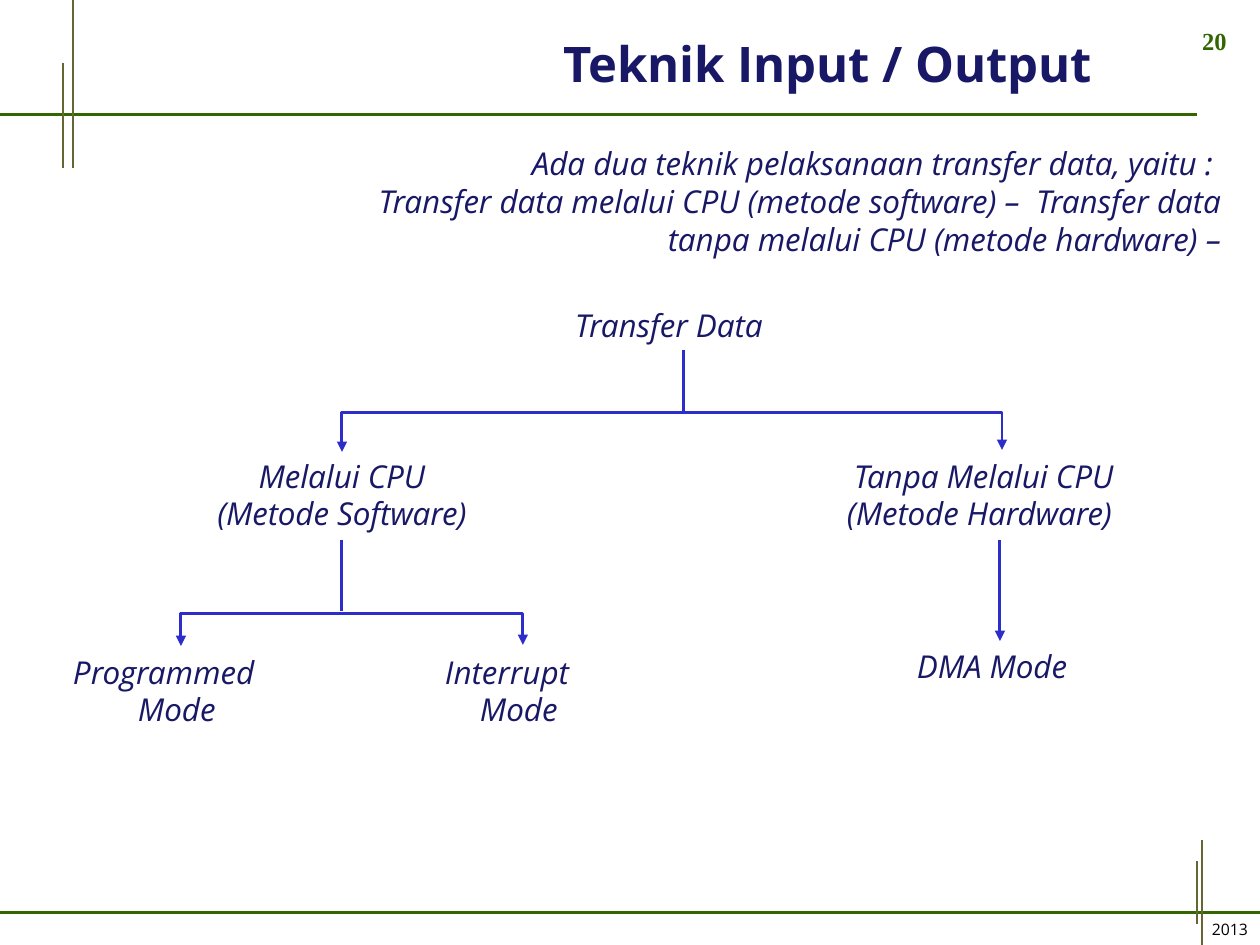
import pptx
import pptx.util
import pptx.dml.color
import pptx.enum.shapes
import pptx.enum.text
import pptx.oxml.ns
import lxml.etree

ALIGN = pptx.enum.text.PP_ALIGN
NAVY, BLUE, GREEN, OLIVE = "181866", "2D2DCA", "336600", "666633"
ITALIC = {"name": "Open Sans", "size": pptx.util.Pt(18), "italic": True}
BOLD = {"name": "Open Sans", "size": pptx.util.Pt(28), "bold": True}
NUMBER = {"name": "Times New Roman", "size": pptx.util.Pt(14), "bold": True}
SMALL = {"name": "Open Sans", "size": pptx.util.Pt(9)}


def px(length):
    """Turn picture pixels into EMU."""
    return round(length * 914400 / 126)


def color(value):
    """Turn a hex string into a colour."""
    return pptx.dml.color.RGBColor.from_string(value)


def add_xml(parent, tag, **attributes):
    """Append a DrawingML element to a parent."""
    return lxml.etree.SubElement(parent, pptx.oxml.ns.qn(tag), attributes)


def assign(target, values):
    """Set attributes from a dict of format values."""
    for name, value in values.items():
        setattr(target, name, value)


class SlideBuilder:
    """Holds the current slide and draws its elements."""

    def __init__(self, slide):
        self.slide = slide

    def stroke(self, shape, ink, width, arrows=()):
        """Set the line of a shape and its arrowheads."""
        shape.line.color.rgb = color(ink)
        shape.line.width = pptx.util.Pt(width)
        for end in arrows:
            add_xml(shape.get_or_add_ln(), end, type="triangle")

    def line(self, x1, y1, x2, y2, ink=BLUE, width=1.7, arrows=()):
        """Draw a straight line."""
        connector = self.slide.shapes.add_connector(
            pptx.enum.shapes.MSO_CONNECTOR.STRAIGHT, px(x1), px(y1), px(x2), px(y2))
        self.stroke(connector, ink, width, arrows)
        add_xml(connector._element.spPr, "a:effectLst")

    def branch(self, x, top, bottom, bar, left_tip, right_tip):
        """Draw a trunk and a crossbar that ends in two downward arrows."""
        corners = [(left_tip[0], bar), (right_tip[0], bar), right_tip]
        builder = self.slide.shapes.build_freeform(*map(px, left_tip))
        builder.add_line_segments([(px(a), px(b)) for a, b in corners], close=False)
        fork = builder.convert_to_shape()
        fork.shadow.inherit = False
        fork.fill.background()
        self.stroke(fork, BLUE, 1.7, ("a:headEnd", "a:tailEnd"))
        self.line(x, top, x, bottom)

    def fill_text(self, shape, box, lines, style=ITALIC, ink=NAVY, spacing=-5,
                  **paragraph_format):
        """Place a shape and write (text, indent, space before, format) lines."""
        assign(shape, dict(zip(("left", "top", "width", "height"), map(px, box))))
        frame = shape.text_frame
        assign(frame, {"word_wrap": True, "margin_left": 0, "margin_right": 0,
                       "margin_top": px(1), "margin_bottom": 0,
                       "auto_size": pptx.enum.text.MSO_AUTO_SIZE.NONE,
                       "vertical_anchor": pptx.enum.text.MSO_ANCHOR.TOP})
        for index, (text, indent, before, extra) in enumerate(lines):
            paragraph = frame.add_paragraph() if index else frame.paragraphs[0]
            assign(paragraph, {"alignment": ALIGN.LEFT,
                               "space_before": pptx.util.Pt(before),
                               **paragraph_format, **extra})
            properties = paragraph._p.get_or_add_pPr()
            properties.set("marL", str(px(indent)))
            properties.set("indent", "0")
            add_xml(properties, "a:buNone")
            run = paragraph.add_run()
            run.text = text
            assign(run.font, style)
            run.font.color.rgb = color(ink)
            run._r.get_or_add_rPr().set("spc", str(spacing))

    def text(self, box, lines, **options):
        """Add a text box."""
        shape = self.slide.shapes.add_textbox(0, 0, 0, 0)
        self.fill_text(shape, box, lines, **options)


def main():
    """Build and save the slide."""
    presentation = pptx.Presentation()
    presentation.slide_width = px(1260)
    presentation.slide_height = px(945)
    slide = presentation.slides.add_slide(presentation.slide_layouts[1])
    builder = SlideBuilder(slide)

    for y, right in ((115, 1197), (913, 1260)):
        builder.line(0, y, right, y, GREEN)
    for x, top, bottom, width in ((73, 0, 168, 0.75), (63, 63, 168, 0.96),
                                  (1197, 861, 924, 0.96), (1202, 840, 945, 0.96)):
        builder.line(x, top, x, bottom, OLIVE, width)

    builder.fill_text(slide.shapes.title, (83, 33, 1094, 62),
                      [("Teknik Input / Output", 481, 0.9, {})], style=BOLD)
    right = {"alignment": ALIGN.RIGHT}
    builder.fill_text(slide.placeholders[1], (354, 143, 867, 204), [
        ("Ada dua teknik pelaksanaan transfer data, yaitu : ", 0, 1, right),
        ("Transfer data melalui CPU (metode software) –  Transfer data", 0, 0, right),
        ("tanpa melalui CPU (metode hardware) –", 0, 0, right),
        ("Transfer Data", 221, 27.5, {})], spacing=-2)

    exact = pptx.util.Pt(21.4)
    builder.text((192, 456, 300, 78), [
        ("Melalui CPU", 0, 1, {}), ("(Metode Software)", 0, 0, {})],
        alignment=ALIGN.CENTER, line_spacing=exact)
    builder.text((846, 456, 311, 78), [
        ("Tanpa Melalui CPU", 8, 1, {}), ("(Metode Hardware)", 1, 0, {})],
        line_spacing=exact)
    for x, width, name, indent in ((72, 207, "Programmed", 66), (444, 146, "Interrupt", 36)):
        builder.text((x, 653, width, 78), [(name, 1, 2, {}), ("Mode", indent, 0, {})],
                     line_spacing=pptx.util.Pt(21.2), spacing=0)
    builder.text((916, 646, 170, 42), [("DMA Mode", 1, 1, {})])

    builder.branch(684, 350, 413, 413, (342, 452), (1002, 450))
    builder.branch(342, 540, 611, 614, (181, 646), (523, 645))
    builder.line(1000, 540, 1000, 641, arrows=("a:tailEnd",))

    builder.text((1201, 25, 29, 33), [("20", 1, 1, {})], style=NUMBER, ink=GREEN, spacing=5)
    builder.text((1211, 919, 44, 23), [("2013", 1, 1.1, {})], style=SMALL, ink="000000",
                 spacing=0)
    presentation.save("out.pptx")


main()
